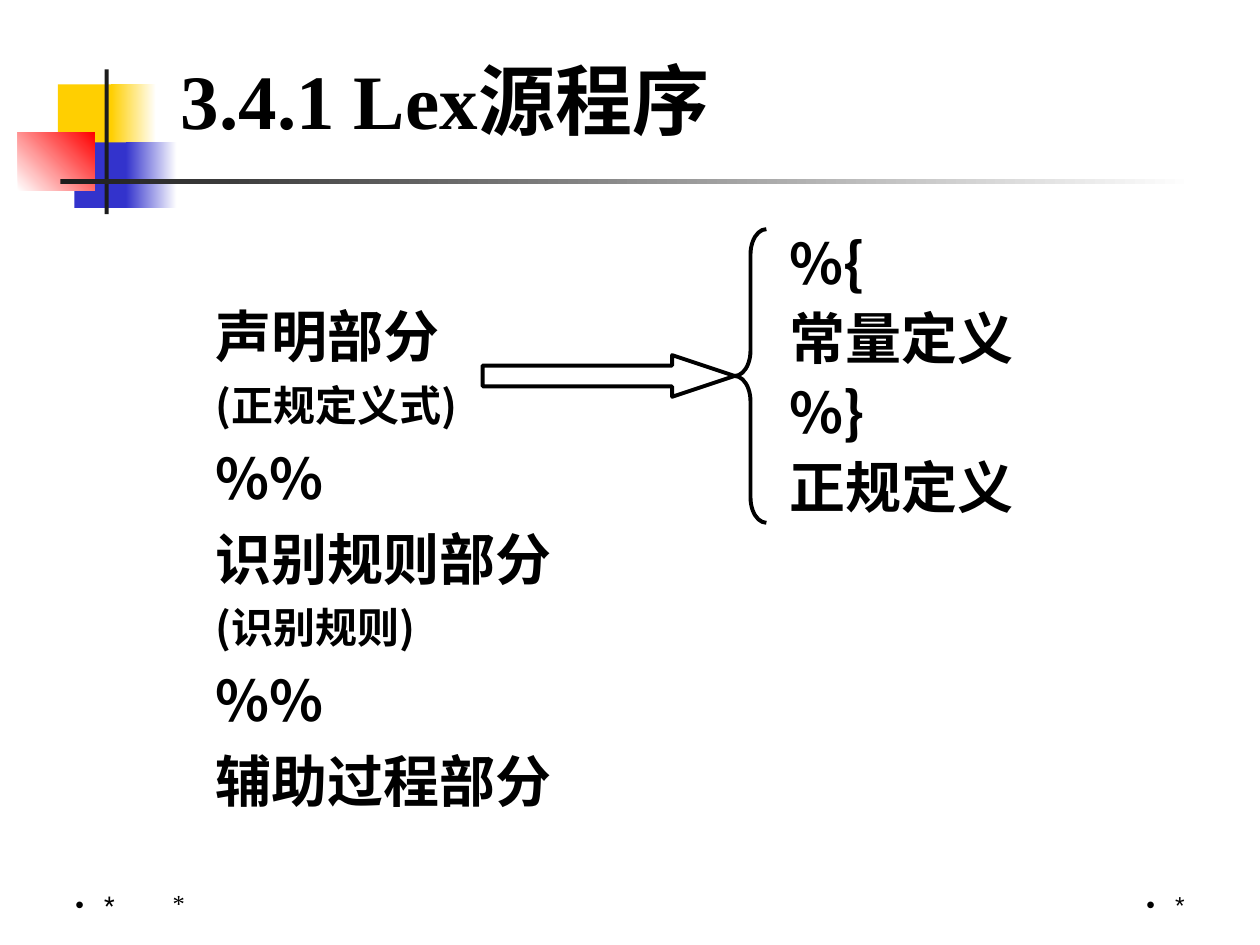
from lxml import etree
from pptx import Presentation
from pptx import util as u
from pptx.dml.color import RGBColor
from pptx.enum import shapes, text
from pptx.oxml import ns

BLACK = RGBColor(0, 0, 0)
WHITE = RGBColor(255, 255, 255)
CHARCOAL = RGBColor(0x1C, 0x1C, 0x1C)
YELLOW = RGBColor(0xFF, 0xCF, 0x01)
BLUE = RGBColor(0x33, 0x33, 0xCC)
RED = RGBColor(255, 0, 0)

CJK = "Noto Sans CJK SC"
SERIF = "Times New Roman"
LEFT, RIGHT = text.PP_ALIGN.LEFT, text.PP_ALIGN.RIGHT
TOP, MIDDLE, BOTTOM = (text.MSO_ANCHOR.TOP, text.MSO_ANCHOR.MIDDLE,
                       text.MSO_ANCHOR.BOTTOM)


def write(paragraph, words, size=32, font=CJK, bold=False, align=LEFT,
          before=0, line=None, bullet=False):
    """Put formatted words in a paragraph."""
    paragraph.alignment = align
    paragraph.space_before = u.Pt(before)
    if line:
        paragraph.line_spacing = u.Pt(line)
    run = paragraph.add_run()
    run.text = words
    run.font.size, run.font.bold, run.font.name = u.Pt(size), bold, font
    run.font.color.rgb = BLACK
    east_asian = etree.SubElement(run.font._element, ns.qn("a:ea"))
    east_asian.set("typeface", CJK)
    if bullet:
        props = paragraph._p.get_or_add_pPr()
        hang = u.Cm(0.58)
        props.set("marL", str(hang))
        props.set("indent", str(-hang))
        etree.SubElement(props, ns.qn("a:buFont")).set("typeface", "Arial")
        etree.SubElement(props, ns.qn("a:buChar")).set("char", "•")


class LectureSlide:
    """The current slide and the look of its elements; boxes are in cm."""

    def __init__(self, deck):
        self.slide = deck.slides.add_slide(deck.slide_layouts[5])

    def title(self, words, box):
        holder = self.slide.shapes.title
        holder.left, holder.top, holder.width, holder.height = map(u.Cm, box)
        frame = holder.text_frame
        frame.auto_size = text.MSO_AUTO_SIZE.NONE
        frame.vertical_anchor = MIDDLE
        write(frame.paragraphs[0], words, size=44, font=SERIF, bold=True)

    def lines(self, box, rows, anchor=TOP, **style):
        """A text box; each row is its words and the format of that row."""
        frame = self.slide.shapes.add_textbox(*map(u.Cm, box)).text_frame
        frame.word_wrap = True
        frame.vertical_anchor = anchor
        for i, (words, row_style) in enumerate(rows):
            paragraph = frame.add_paragraph() if i else frame.paragraphs[0]
            write(paragraph, words, **{**style, **row_style})

    def block(self, box, color, end=None, angle=0):
        """A rectangle without outline, fading to the end colour if given."""
        shape = self.slide.shapes.add_shape(
            shapes.MSO_SHAPE.RECTANGLE, *map(u.Cm, box))
        shape.shadow.inherit = False
        shape.line.fill.background()
        if end is None:
            shape.fill.solid()
            shape.fill.fore_color.rgb = color
            return
        shape.fill.gradient()
        shape.fill.gradient_angle = angle
        for stop, shade in zip(shape.fill.gradient_stops, (color, end)):
            stop.color.rgb = shade

    def outline(self, kind, box, adjustments):
        shape = self.slide.shapes.add_shape(kind, *map(u.Cm, box))
        shape.shadow.inherit = False
        shape.fill.background()
        shape.line.color.rgb = BLACK
        shape.line.width = u.Pt(2.25)
        for i, value in enumerate(adjustments):
            shape.adjustments[i] = value


def main():
    deck = Presentation()
    deck.slide_width, deck.slide_height = u.Cm(25.4), u.Cm(19.05)
    page = LectureSlide(deck)

    # Coloured corner ornament with its cross of rules
    page.block((1.17, 1.7, 1.22, 1.32), YELLOW)
    page.block((2.24, 1.7, 0.91, 1.32), YELLOW, WHITE)
    page.block((1.5, 2.87, 1.17, 1.32), BLUE)
    page.block((2.54, 2.87, 1.02, 1.32), BLUE, WHITE)
    page.block((0.36, 2.67, 1.55, 1.17), WHITE, RED, angle=45)
    page.block((2.11, 1.4, 0.08, 2.92), CHARCOAL)
    page.block((1.22, 3.61, 22.86, 0.1), CHARCOAL, WHITE)

    page.title("3.4.1 Lex源程序", (3.39, 1.32, 17.12, 1.32))

    # Sections of a source program
    part = dict(size=32, before=8, line=38.2)
    detail = dict(size=24, before=6, line=28.7)
    page.lines((4.09, 5.97, 8.31, 10.95), [
        ("声明部分", part),
        ("(正规定义式)", detail),
        ("%%", part),
        ("识别规则部分", part),
        ("(识别规则)", detail),
        ("%%", part),
        ("辅助过程部分", part),
    ], bold=True)

    # Contents of the declarations section
    declarations = ("%{", "常量定义", "%}", "正规定义")
    page.lines((15.67, 4.62, 5.92, 6.35), [(row, {}) for row in declarations],
               bold=True, before=8, line=34.6)
    page.outline(shapes.MSO_SHAPE.RIGHT_ARROW, (9.73, 7.16, 5.08, 0.84),
                 (0.5, 1.5))
    page.outline(shapes.MSO_SHAPE.LEFT_BRACE, (14.81, 4.62, 0.64, 5.92),
                 (0.8, 0.5))

    # Footer marks
    for box, style in (
        ((1.27, 17.35, 5.92, 1.32), dict(font="Roboto", bullet=True)),
        ((18.21, 17.35, 5.92, 1.32),
         dict(font="Arial", bullet=True, align=RIGHT)),
        ((3.23, 17.35, 5.28, 1.27), dict(font=SERIF)),
    ):
        page.lines(box, [("*", style)], anchor=BOTTOM, size=14)

    deck.save("out.pptx")


if __name__ == "__main__":
    main()
